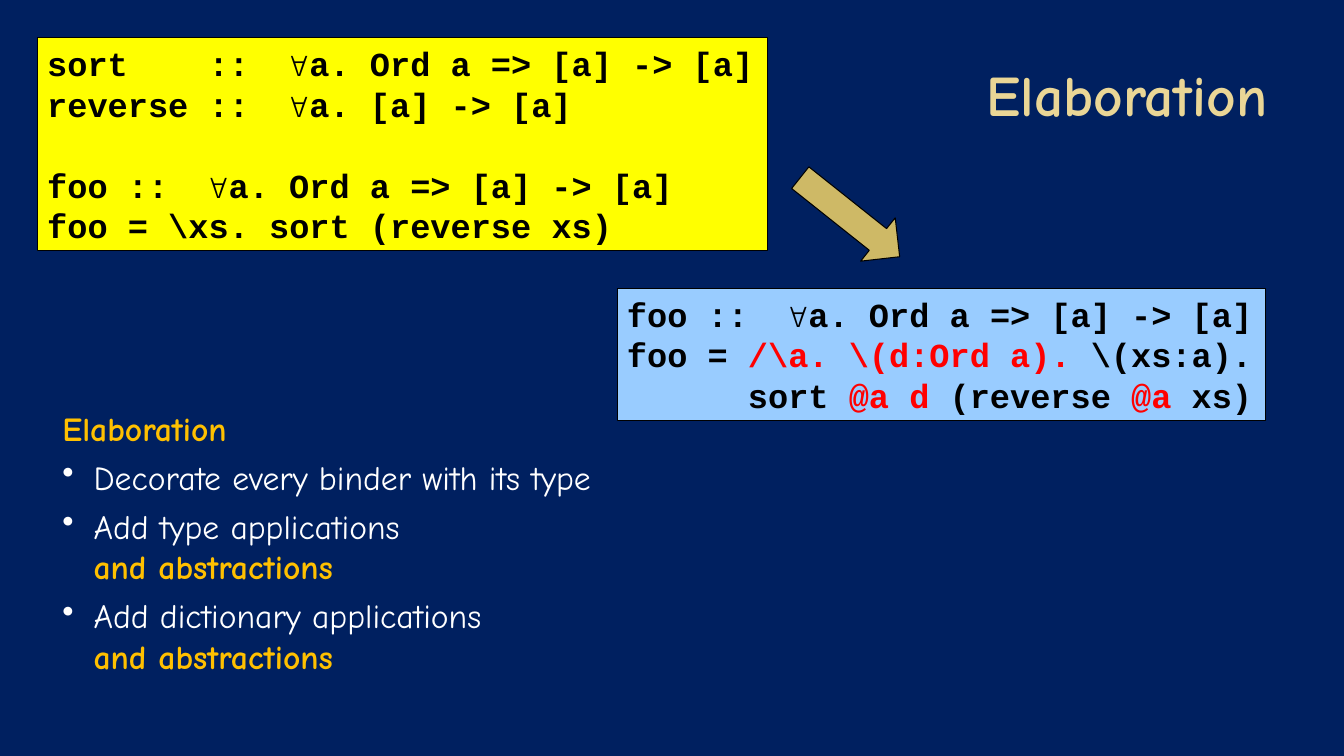
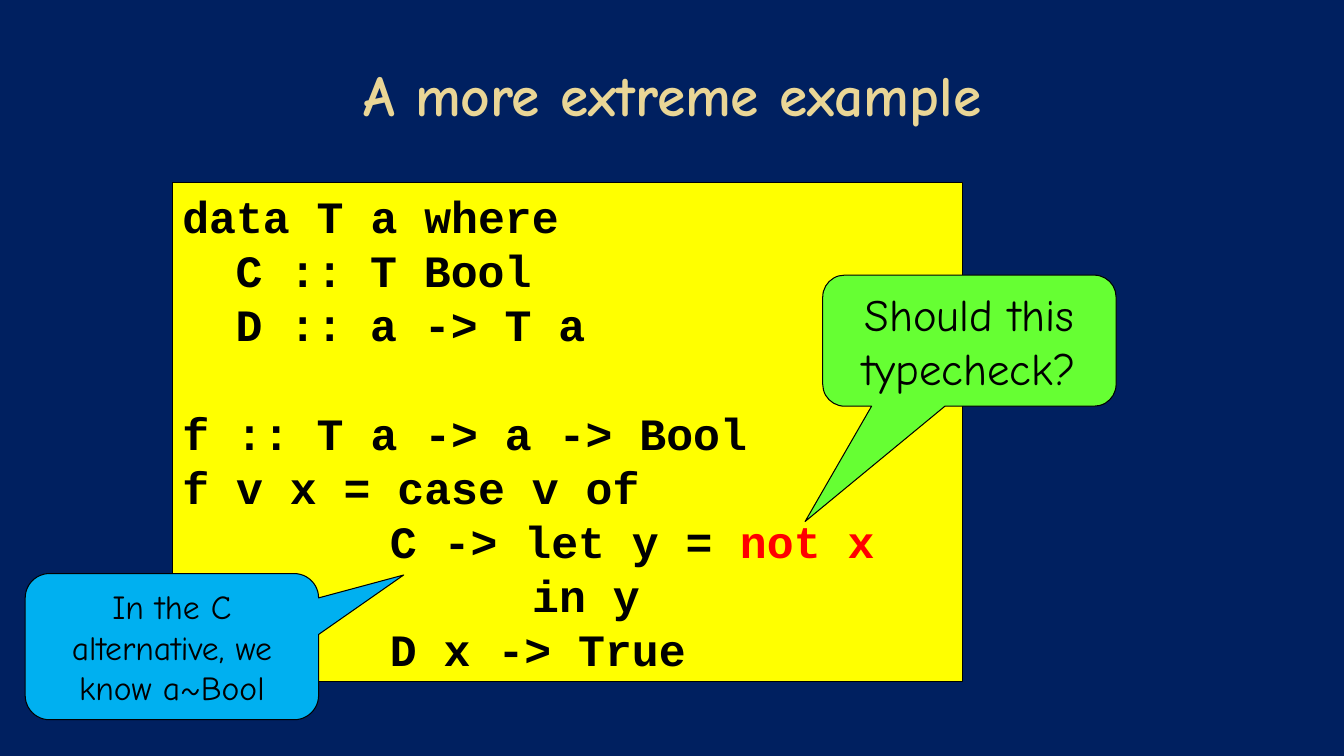
from pptx import Presentation
from pptx.dml.color import RGBColor
from pptx.enum.shapes import MSO_SHAPE
from pptx.enum.text import MSO_ANCHOR, PP_ALIGN
from pptx.oxml.ns import qn
from pptx.util import Inches, Pt
from lxml.etree import SubElement

NAVY = RGBColor(0x00, 0x20, 0x60)
SAND = RGBColor(0xEA, 0xD6, 0x96)
BRONZE = RGBColor(0xCE, 0xB9, 0x66)
GOLD = RGBColor(0xFF, 0xC0, 0x00)
YELLOW = RGBColor(0xFF, 0xFF, 0x00)
PALE_BLUE = RGBColor(0x99, 0xCC, 0xFF)
SKY_BLUE = RGBColor(0x00, 0xB0, 0xF0)
GREEN = RGBColor(0x66, 0xFF, 0x33)
RED = RGBColor(0xFF, 0x00, 0x00)
BLACK = RGBColor(0x00, 0x00, 0x00)
WHITE = RGBColor(0xFF, 0xFF, 0xFF)

PROSE_FONT = "Comic Neue"
CODE_FONT = "Courier New"
LINE_HEIGHT = 1.21
BULLET_INDENT = 0.31
EMPHASIS = "|"

SOURCE_CODE = [
    (0, "sort    ::  ∀a. Ord a => [a] -> [a]"),
    (0, "reverse ::  ∀a. [a] -> [a]"),
    (0, ""),
    (0, "foo ::  ∀a. Ord a => [a] -> [a]"),
    (0, "foo = \\xs. sort (reverse xs)"),
]
ELABORATED_CODE = [
    (0, "foo ::  ∀a. Ord a => [a] -> [a]"),
    (0, "foo = |/\\a. \\(d:Ord a). |\\(xs:a)."),
    (1.2, "sort |@a d| (reverse |@a |xs)"),
]
GADT_CODE = [
    (0, "data T a where"),
    (0.53, "C :: T Bool"),
    (0.53, "D :: a -> T a"),
    (0, ""),
    (0, "f :: T a -> a -> Bool"),
    (0, "f v x = case v of"),
    (2.06, "C -> let y = |not x|"),
    (3.47, "in y"),
    (2.06, "D x -> True"),
]
STEPS_HEADING = "|Elaboration|"
STEPS = [
    "Decorate every binder with its type",
    "Add type applications\n|and abstractions|",
    "Add dictionary applications\n|and abstractions|",
]


def add_title_slide(deck, title, align):
    slide = deck.slides.add_slide(deck.slide_layouts[6])
    slide.background.fill.solid()
    slide.background.fill.fore_color.rgb = NAVY
    frame = slide.shapes.add_textbox(*map(Inches, (0.67, 0.3, 12, 1.25))).text_frame
    frame.word_wrap = True
    frame.vertical_anchor = MSO_ANCHOR.MIDDLE
    heading = frame.paragraphs[0]
    heading.text = title
    heading.alignment = align
    set_font(heading.font, PROSE_FONT, 41, SAND, True)
    return slide


def set_font(font, name, size, color, bold):
    font.name = name
    font.size = Pt(size)
    font.color.rgb = color
    font.bold = bold


def next_paragraph(frame):
    first = frame.paragraphs[0]
    return frame.add_paragraph() if first.runs else first


def write(paragraph, text, name, size, color, accent, bold=False):
    set_font(paragraph.font, name, size, color, bold)
    paragraph.line_spacing = Pt(round(size * LINE_HEIGHT, 1))
    for part, words in enumerate(text.split(EMPHASIS)):
        for row, line in enumerate(words.split("\n")):
            if row:
                paragraph.add_line_break()
            if line:
                run = paragraph.add_run()
                run.text = line
                if part % 2:
                    run.font.color.rgb = accent
                    run.font.bold = True


def set_indent(paragraph, left, first=0):
    properties = paragraph._p.get_or_add_pPr()
    properties.set("marL", str(Inches(left)))
    properties.set("indent", str(Inches(first)))
    return properties


def add_outlined(slide, preset, box, fill):
    shape = slide.shapes.add_shape(preset, *map(Inches, box))
    shape.shadow.inherit = False
    shape.fill.solid()
    shape.fill.fore_color.rgb = fill
    shape.line.color.rgb = BLACK
    shape.line.width = Pt(0.75)
    shape.text_frame.word_wrap = True
    shape.text_frame.vertical_anchor = MSO_ANCHOR.MIDDLE
    return shape


def add_code(slide, box, fill, lines, size):
    frame = add_outlined(slide, MSO_SHAPE.RECTANGLE, box, fill).text_frame
    gap = 0
    for indent, text in lines:
        if not text:
            gap = round(size * LINE_HEIGHT, 1)
            continue
        paragraph = next_paragraph(frame)
        paragraph.alignment = PP_ALIGN.LEFT
        paragraph.space_before = Pt(gap)
        set_indent(paragraph, indent)
        write(paragraph, text, CODE_FONT, size, BLACK, RED, True)
        gap = 0


def add_callout(slide, box, fill, text, size, tip):
    callout = add_outlined(slide, MSO_SHAPE.ROUNDED_RECTANGULAR_CALLOUT, box, fill)
    callout.adjustments[0], callout.adjustments[1] = tip
    paragraph = callout.text_frame.paragraphs[0]
    paragraph.alignment = PP_ALIGN.CENTER
    write(paragraph, text, PROSE_FONT, size, BLACK, BLACK)


def add_steps(slide, box):
    frame = slide.shapes.add_textbox(*map(Inches, box)).text_frame
    frame.word_wrap = True
    for text in [STEPS_HEADING, *STEPS]:
        paragraph = next_paragraph(frame)
        paragraph.space_before = Pt(6)
        write(paragraph, text, PROSE_FONT, 24, WHITE, GOLD)
        if text != STEPS_HEADING:
            properties = set_indent(paragraph, BULLET_INDENT, -BULLET_INDENT)
            bullet = SubElement(properties, qn("a:buChar"), char="•")
            properties.find(qn("a:defRPr")).addprevious(bullet)


def build_elaboration(deck):
    slide = add_title_slide(deck, "Elaboration", PP_ALIGN.RIGHT)
    add_code(slide, (0.37, 0.37, 7.24, 2.12), YELLOW, SOURCE_CODE, 24)
    add_code(slide, (6.12, 2.86, 6.43, 1.31), PALE_BLUE, ELABORATED_CODE, 24)
    arrow = add_outlined(slide, MSO_SHAPE.RIGHT_ARROW, (7.8, 1.88, 1.26, 0.55), BRONZE)
    arrow.rotation = 38.5
    add_steps(slide, (0.52, 3.99, 6.58, 2.78))


def build_extreme_example(deck):
    slide = add_title_slide(deck, "A more extreme example", PP_ALIGN.CENTER)
    add_code(slide, (1.71, 1.81, 7.84, 4.95), YELLOW, GADT_CODE, 32)
    add_callout(slide, (8.16, 2.73, 2.91, 1.3), GREEN,
                "Should this typecheck?", 32, (-0.56, 1.38))
    add_callout(slide, (0.25, 5.69, 2.91, 1.45), SKY_BLUE,
                "In the C alternative, we know a~Bool", 24, (0.79, -0.49))


def main():
    deck = Presentation()
    deck.slide_width = Inches(13.33)
    deck.slide_height = Inches(7.5)
    build_elaboration(deck)
    build_extreme_example(deck)
    deck.save("out.pptx")


if __name__ == "__main__":
    main()
